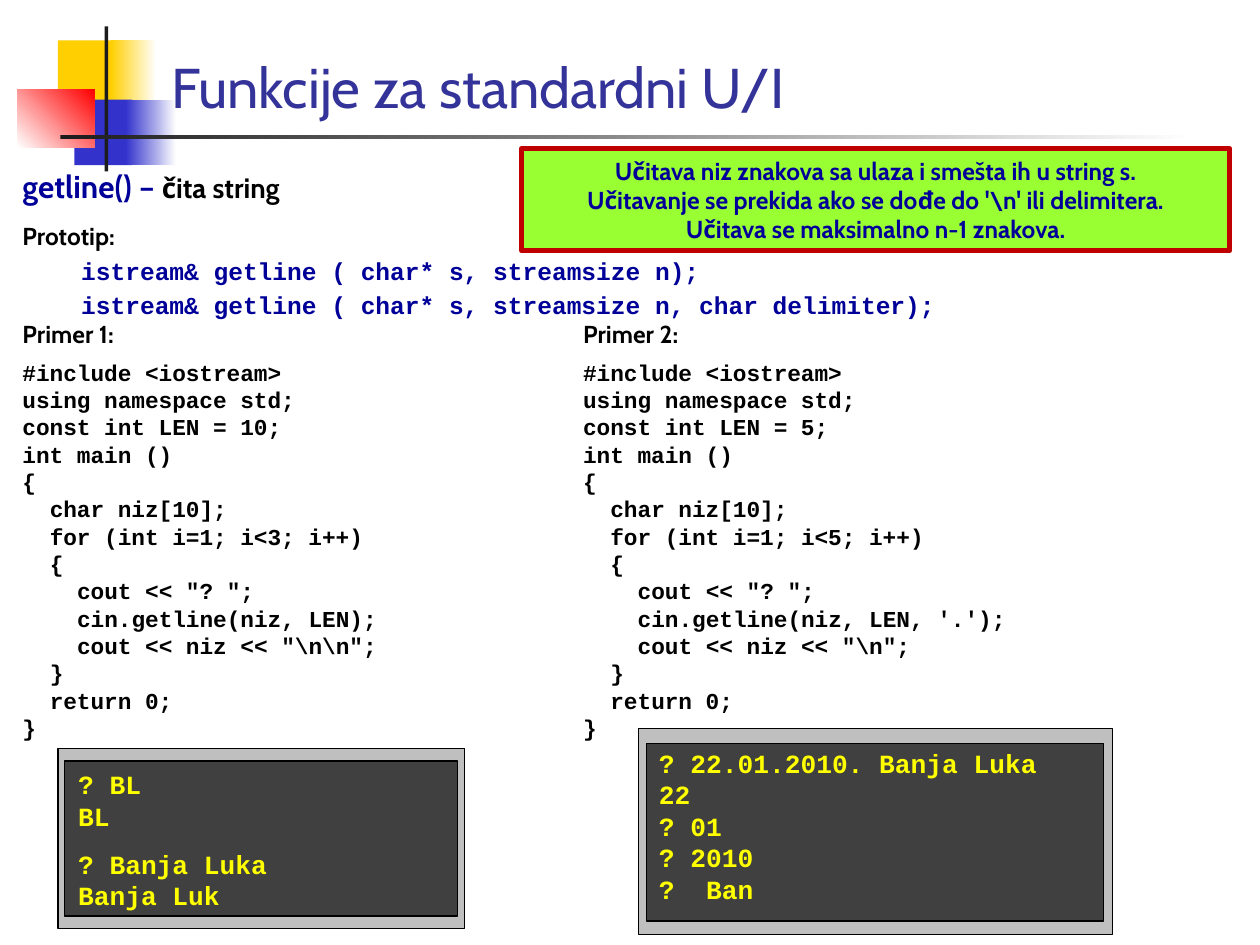
from pptx import Presentation
from pptx.dml.color import RGBColor
from pptx.enum.shapes import MSO_SHAPE
from pptx.enum.text import MSO_ANCHOR, PP_ALIGN
from pptx.util import Inches, Pt

RECTANGLE = MSO_SHAPE.RECTANGLE
BOTTOM, MIDDLE = MSO_ANCHOR.BOTTOM, MSO_ANCHOR.MIDDLE
LEFT, CENTER = PP_ALIGN.LEFT, PP_ALIGN.CENTER

WHITE = RGBColor(0xFF, 0xFF, 0xFF)
BLACK = RGBColor(0x00, 0x00, 0x00)
GOLD = RGBColor(0xFF, 0xCF, 0x01)
BLUE = RGBColor(0x33, 0x33, 0xCC)
RED = RGBColor(0xFF, 0x00, 0x00)
CHARCOAL = RGBColor(0x1C, 0x1C, 0x1C)
INDIGO = RGBColor(0x33, 0x33, 0x99)
NAVY = RGBColor(0x00, 0x00, 0x99)
LIME = RGBColor(0x99, 0xFF, 0x33)
CRIMSON = RGBColor(0xC0, 0x00, 0x00)
SILVER = RGBColor(0xBF, 0xBF, 0xBF)
GRAPHITE = RGBColor(0x40, 0x40, 0x40)
YELLOW = RGBColor(0xFF, 0xFF, 0x00)

SANS, MONO = "Cabin", "Courier New"
CELL = Inches(0.1)
MONO_ADVANCE = 0.6

deck = Presentation()
deck.slide_width, deck.slide_height = 100 * CELL, 75 * CELL
page = deck.slides.add_slide(deck.slide_layouts[6])


def add_block(area, colors, angle=0, line=None, weight=0):
    block = page.shapes.add_shape(RECTANGLE, *[int(cells * CELL) for cells in area])
    block.shadow.inherit = False
    if len(colors) == 1:
        block.fill.solid()
        block.fill.fore_color.rgb = colors[0]
    else:
        block.fill.gradient()
        block.fill.gradient_angle = angle
        for stop, color in zip(block.fill.gradient_stops, colors):
            stop.color.rgb = color
    if line is None:
        block.line.fill.background()
    else:
        block.line.color.rgb = line
        block.line.width = Pt(weight)
    return block


def add_line(frame, spans, before=0, indent=0, align=LEFT):
    para = frame.paragraphs[0]
    if para.runs:
        para = frame.add_paragraph()
    para.alignment = align
    para.space_before = Pt(before)
    if indent:
        para._p.get_or_add_pPr().set("marL", str(Pt(indent)))
    for text, font, size, color, bold in spans:
        span = para.add_run()
        span.text = text
        span.font.name = font
        span.font.size = Pt(size)
        span.font.color.rgb = color
        span.font.bold = bold


for area, colors, angle in [
    ((4.6, 3.2, 4.8, 5.2), [GOLD], 0),
    ((8.8, 3.2, 3.6, 5.2), [GOLD, WHITE], 0),
    ((5.9, 7.9, 4.6, 5.2), [BLUE], 0),
    ((10, 7.9, 4, 5.2), [BLUE, WHITE], 0),
    ((1.4, 7.1, 6.1, 4.6), [WHITE, RED], 45),
    ((8.3, 2.1, 0.3, 11.5), [CHARCOAL], 0),
    ((4.8, 10.7, 90, 0.3), [CHARCOAL, WHITE], 0),
]:
    add_block(area, colors, angle)

frames = []
for area in [
    (12.6, 1.3, 87.4, 8.7),
    (0.8, 12.8, 82.4, 15),
    (0.8, 24.8, 37.5, 33.6),
    (45.3, 24.8, 45.3, 33.6),
]:
    box = page.shapes.add_textbox(*[int(cells * CELL) for cells in area])
    box.text_frame.word_wrap = True
    frames.append(box.text_frame)
title, prototype, *examples = frames

title.vertical_anchor = BOTTOM
add_line(title, [("Funkcije za standardni U/I", SANS, 32, INDIGO, False)])

add_line(prototype, [("getline() – ", SANS, 18, NAVY, True),
                     ("čita string", SANS, 16, BLACK, True)])
add_line(prototype, [("Prototip:", SANS, 14, BLACK, True)], 9)
for signature in ["istream& getline ( char* s, streamsize n);",
                  "istream& getline ( char* s, streamsize n, char delimiter);"]:
    add_line(prototype, [(signature, MONO, 14, NAVY, True)], 3, 4 * 14 * MONO_ADVANCE)

note = add_block((41.4, 11.8, 56.2, 8.1), [LIME], line=CRIMSON, weight=3).text_frame
note.word_wrap = True
note.vertical_anchor = MIDDLE
for sentence in ["Učitava niz znakova sa ulaza i smešta ih u string s.",
                 "Učitavanje se prekida ako se dođe do '\\n' ili delimitera.",
                 "Učitava se maksimalno n-1 znakova."]:
    add_line(note, [(sentence, SANS, 14, NAVY, True)], align=CENTER)

variants = [("Primer 1:", 10, 3, "", "\\n\\n"), ("Primer 2:", 5, 5, ", '.'", "\\n")]
for frame, (heading, length, limit, delimiter, ending) in zip(examples, variants):
    add_line(frame, [(heading, SANS, 14, BLACK, True)])
    for number, (depth, code) in enumerate([
        (0, "#include <iostream>"),
        (0, "using namespace std;"),
        (0, f"const int LEN = {length};"),
        (0, "int main ()"),
        (0, "{"),
        (1, "char niz[10];"),
        (1, f"for (int i=1; i<{limit}; i++)"),
        (1, "{"),
        (2, 'cout << "? ";'),
        (2, f"cin.getline(niz, LEN{delimiter});"),
        (2, f'cout << niz << "{ending}";'),
        (1, "}"),
        (1, "return 0;"),
        (0, "}"),
    ]):
        add_line(frame, [(code, MONO, 13, BLACK, True)],
                 0 if number else 6, depth * 2 * 13 * MONO_ADVANCE)

for bezel, screen, text_area, output in [
    ((4.6, 59.4, 32.3, 14.3), (5.1, 60.4, 31.2, 12.3), (6.2, 60.5, 31.3, 12.4),
     [("? BL", 0), ("BL", 0), ("? Banja Luka", 9.5), ("Banja Luk", 0)]),
    ((50.7, 57.8, 37.6, 16.4), (51.3, 59, 36.3, 14.1), (52.3, 58.8, 35.2, 13.6),
     [("? 22.01.2010. Banja Luka", 0), ("22", 0), ("? 01", 0), ("? 2010", 0), ("?  Ban", 0)]),
]:
    add_block(bezel, [SILVER], line=BLACK)
    add_block(screen, [GRAPHITE], line=BLACK)
    box = page.shapes.add_textbox(*[int(cells * CELL) for cells in text_area])
    frame = box.text_frame
    frame.word_wrap = True
    frame.margin_left = frame.margin_right = 0
    for text, before in output:
        add_line(frame, [(text, MONO, 15, YELLOW, True)], before)

deck.save("out.pptx")
